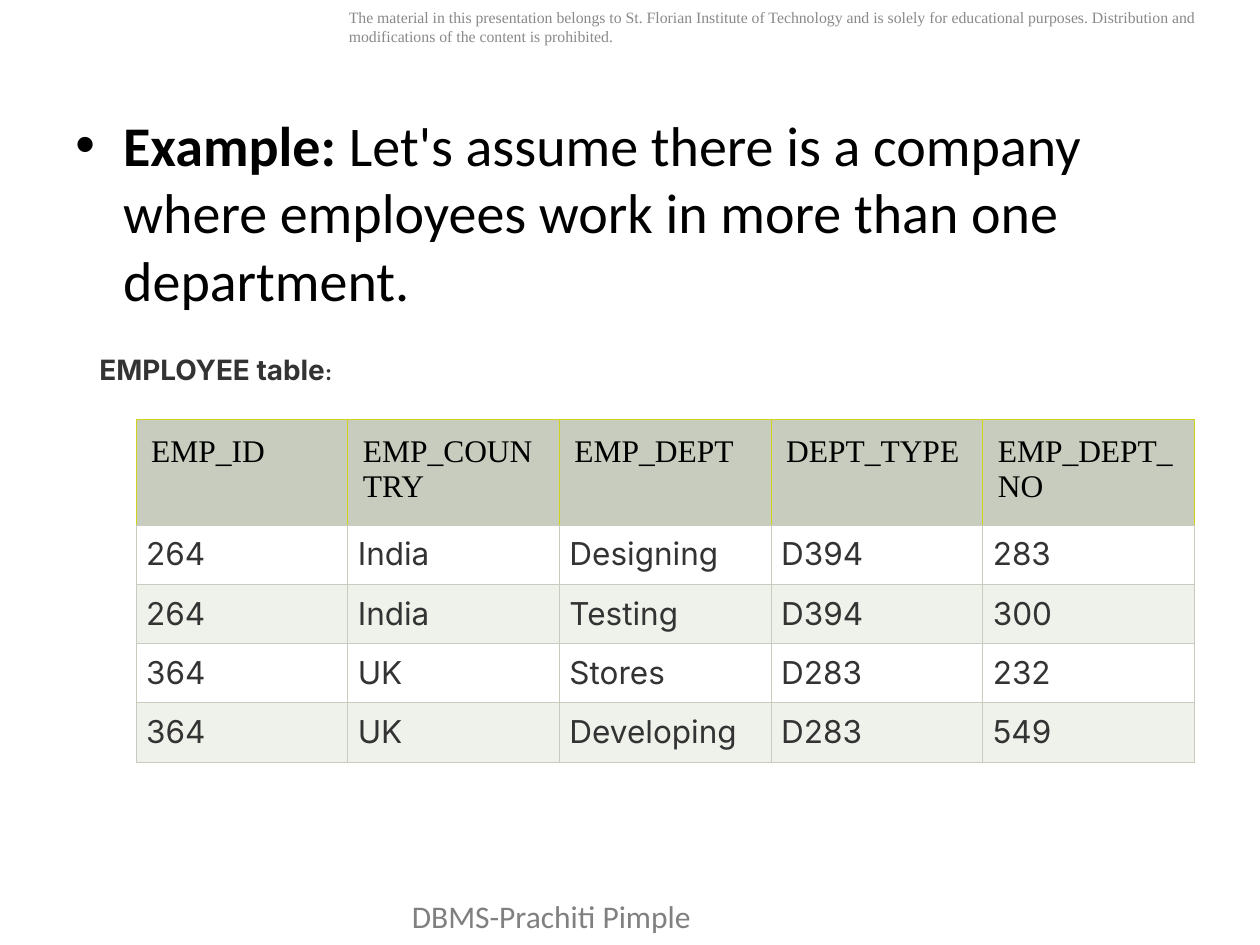
from lxml import etree
from pptx import Presentation
from pptx.dml.color import RGBColor
from pptx.enum import shapes, text
from pptx.oxml import ns
from pptx.util import Inches, Pt

NOTICE = ("The material in this presentation belongs to St. Florian Institute of Technology "
          "and is solely for educational purposes. Distribution and modifications of the "
          "content is prohibited.")
FOOTER = "DBMS-Prachiti Pimple"
EXAMPLE = ("Example:", "\N{NO-BREAK SPACE}Let's assume there is a company where employees "
           "work in more than one department.")
CAPTION = ("EMPLOYEE table", ":")
EMPLOYEES = [
    ("EMP_ID", "EMP_COUNTRY", "EMP_DEPT", "DEPT_TYPE", "EMP_DEPT_NO"),
    ("264", "India", "Designing", "D394", "283"),
    ("264", "India", "Testing", "D394", "300"),
    ("364", "UK", "Stores", "D283", "232"),
    ("364", "UK", "Developing", "D283", "549"),
]

THEME = {
    "notice": {"name": "Times New Roman", "size": 9, "color": "898989"},
    "footer": {"name": "Calibri", "size": 18, "color": "808080"},
    "strong": {"name": "Calibri", "size": 32, "color": "000000", "bold": True},
    "body": {"name": "Calibri", "size": 32, "color": "000000"},
    "caption": {"name": "Inter", "size": 16, "color": "333333", "bold": True},
    "colon": {"name": "Inter", "size": 12, "color": "333333", "bold": True},
    "header": {"name": "Times New Roman", "size": 18, "color": "000000"},
    "cell": {"name": "Inter", "size": 18, "color": "333333"},
    "header_fill": "C7CCBE",
    "row_fills": ("FFFFFF", "EFF1EB"),
    "grid": "C7CCBE",
    "header_grid": "D0D318",
    "paper": "FFFFFF",
}
COLUMN_WIDTH, HEADER_HEIGHT, ROW_HEIGHT = 1.68, 0.81, 0.47


def add_span(para, words, style):
    span = para.add_run()
    span.text = words
    for key, value in THEME[style].items():
        if key == "color":
            span.font.color.rgb = RGBColor.from_string(value)
        else:
            setattr(span.font, key, Pt(value) if key == "size" else value)


def add_text(page, place, spans):
    box = page.shapes.add_textbox(*map(Inches, place))
    box.text_frame.word_wrap = True
    para = box.text_frame.paragraphs[0]
    for words, style in spans:
        add_span(para, words, style)
    return para


def add_bullet(para):
    para.space_before = Pt(6.4)
    properties = para._p.get_or_add_pPr()
    properties.set("marL", str(Inches(0.38)))
    properties.set("indent", str(-Inches(0.38)))
    font = etree.SubElement(properties, ns.qn("a:buFont"))
    font.set("typeface", "Arial")
    etree.SubElement(properties, ns.qn("a:buChar")).set("char", "•")


def add_borders(cell, colors):
    properties = cell._tc.get_or_add_tcPr()
    for index, (side, color) in enumerate(colors.items()):
        line = etree.Element(ns.qn(f"a:ln{side}"), w=str(Pt(0.75)))
        fill = etree.SubElement(line, ns.qn("a:solidFill"))
        etree.SubElement(fill, ns.qn("a:srgbClr"), val=color)
        properties.insert(index, line)


def add_caption(page):
    box = page.shapes.add_shape(shapes.MSO_SHAPE.RECTANGLE,
                                *map(Inches, (0.69, 2.75, 2.09, 0.37)))
    box.shadow.inherit = False
    box.fill.solid()
    box.fill.fore_color.rgb = RGBColor.from_string(THEME["paper"])
    box.line.fill.background()
    box.text_frame.word_wrap = False
    box.text_frame.vertical_anchor = text.MSO_ANCHOR.MIDDLE
    para = box.text_frame.paragraphs[0]
    para.alignment = text.PP_ALIGN.JUSTIFY
    for words, style in zip(CAPTION, ("caption", "colon")):
        add_span(para, words, style)


def add_employees(page):
    heights = [HEADER_HEIGHT] + [ROW_HEIGHT] * (len(EMPLOYEES) - 1)
    width = COLUMN_WIDTH * len(EMPLOYEES[0])
    place = (1.08, 3.33, width, sum(heights))
    table = page.shapes.add_table(len(EMPLOYEES), len(EMPLOYEES[0]),
                                  *map(Inches, place)).table
    for column in table.columns:
        column.width = Inches(COLUMN_WIDTH)
    for row_index, record in enumerate(EMPLOYEES):
        header = row_index == 0
        table.rows[row_index].height = Inches(heights[row_index])
        fill = THEME["header_fill"] if header else THEME["row_fills"][(row_index - 1) % 2]
        borders = dict.fromkeys("LRTB", THEME["header_grid" if header else "grid"])
        borders["B"] = THEME["grid"]
        for column_index, words in enumerate(record):
            cell = table.cell(row_index, column_index)
            for side in ("left", "right", "top", "bottom"):
                setattr(cell, f"margin_{side}", Inches(0.12 if header else 0.08))
            cell.fill.solid()
            cell.fill.fore_color.rgb = RGBColor.from_string(fill)
            add_borders(cell, borders)
            para = cell.text_frame.paragraphs[0]
            if not header:
                para.alignment = text.PP_ALIGN.JUSTIFY
            add_span(para, words, "header" if header else "cell")


def main():
    deck = Presentation()
    deck.slide_width, deck.slide_height = Inches(10), Inches(7.5)
    page = deck.slides.add_slide(deck.slide_layouts[6])
    add_text(page, (2.67, 0.01, 7.33, 0.71), [(NOTICE, "notice")])
    add_text(page, (3.17, 7.07, 4.08, 0.4), [(FOOTER, "footer")])
    add_bullet(add_text(page, (0.5, 0.83, 9, 5.87), zip(EXAMPLE, ("strong", "body"))))
    add_employees(page)
    add_caption(page)
    deck.save("out.pptx")


if __name__ == "__main__":
    main()
